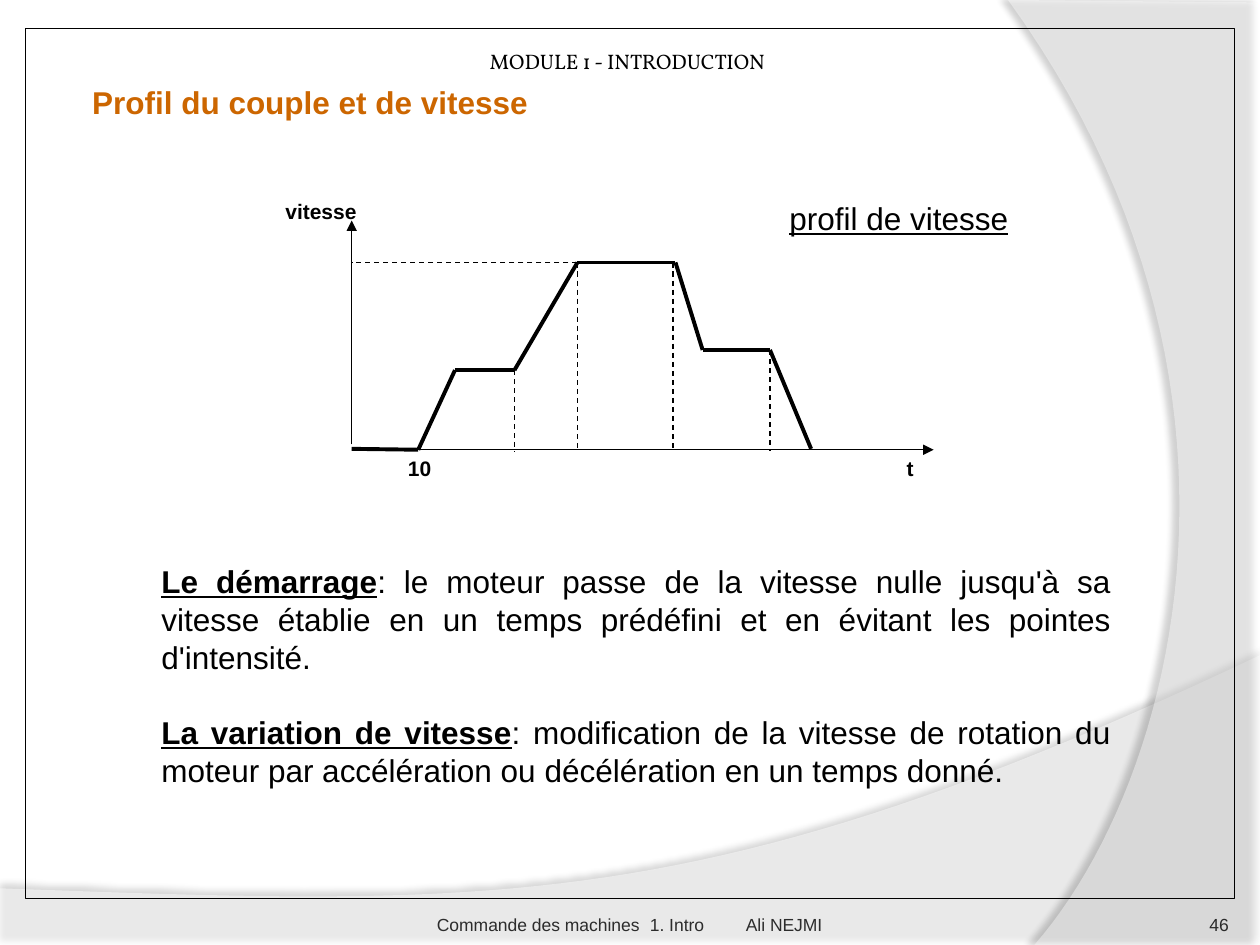
from dataclasses import dataclass, field
from typing import Any

import lxml.etree
import pptx
import pptx.dml.color
import pptx.enum.dml
import pptx.enum.shapes
import pptx.enum.text
import pptx.oxml.ns
import pptx.util

Pt = pptx.util.Pt
RGBColor = pptx.dml.color.RGBColor
Align = pptx.enum.text.PP_ALIGN
Anchor = pptx.enum.text.MSO_ANCHOR
Point = tuple[float, float]

BLACK = RGBColor(0, 0, 0)
WHITE = RGBColor(255, 255, 255)
ORANGE = RGBColor(0xCC, 0x66, 0x00)
FOOTER_GREY = RGBColor(0x2C, 0x2C, 0x2C)
NUMBER_GREY = RGBColor(0x29, 0x29, 0x29)

LABEL = {"size": Pt(12), "name": "Arial", "bold": True}
FOOTER = {"size": Pt(10), "name": "Arial"}
BODY = {"size": Pt(18), "name": "Arial"}
INSET = (7.2, 3.6, 7.2, 3.6)


@dataclass
class Label:
    text: str
    box: tuple[float, float, float, float]
    font: dict[str, Any]
    color: RGBColor = BLACK
    align: Any = Align.LEFT
    anchor: Any = Anchor.TOP
    inset: tuple[float, float, float, float] = INSET
    wrap: bool = True
    tabs: list[float] = field(default_factory=list)


@dataclass
class Stroke:
    start: Point
    end: Point
    width: float = 0.75
    dashed: bool = False
    arrow: bool = False


@dataclass
class Wave:
    corners: list[Point]
    curve: tuple[Point, Point, Point]
    opacity: int
    shadow_opacity: int
    distance: float
    direction: int


TITLE = Label("Profil du couple et de vitesse", (45.5, 44, 414, 29),
              BODY | {"bold": True}, ORANGE)
HEADER = Label("MODULE 1 - INTRODUCTION", (36, 24, 645, 30),
               {"size": Pt(12), "name": "Vollkorn"}, align=Align.CENTER)
CAPTION = Label("profil de vitesse", (444, 110, 140.5, 29),
                BODY | {"underline": True}, wrap=False)
FOOTERS = [
    Label("Commande des machines\t1. Intro\tAli NEJMI", (249.7, 505.5, 235, 28.8), FOOTER,
          FOOTER_GREY, anchor=Anchor.BOTTOM, inset=(0, 3.6, 0, 0), tabs=[121.7, 176.5]),
    Label("46", (642.2, 505.5, 60, 28.8), FOOTER, NUMBER_GREY, Align.RIGHT,
          Anchor.BOTTOM, (0, 0, 0, 0)),
]
AXIS_LABELS = [
    Label("10", (226, 256.5, 34, 22), LABEL),
    Label("t", (511, 257, 82, 22), LABEL),
    Label("vitesse", (156, 110, 57, 29), LABEL),
]
DEFINITIONS = [
    ("Le démarrage", ": le moteur passe de la vitesse nulle jusqu'à sa vitesse établie "
     "en un temps prédéfini et en évitant les pointes d'intensité."),
    ("La variation de vitesse", ": modification de la vitesse de rotation du moteur "
     "par accélération ou décélération en un temps donné."),
]
PROFILE = [(201, 256.5), (239, 257), (260, 211.5), (294, 211.5), (330, 150),
           (386, 150), (401.5, 200), (440, 200), (463.5, 256.5)]
STROKES = [
    Stroke((201, 254), (201, 126), arrow=True),
    Stroke((201, 257), (533.5, 257), arrow=True),
    Stroke((330, 150), (201, 150), dashed=True),
    *[Stroke((x, top), (x, 258), dashed=True)
      for x, top in [(294, 211.5), (330, 150), (384.5, 150), (440, 200)]],
    *[Stroke(start, end, 2.25) for start, end in zip(PROFILE, PROFILE[1:])],
]
WAVES = [
    Wave([(0, 507.6), (0, 540.7), (720, 540.7), (720, 374.4)],
         ((402.5, 524.9), (281.5, 517.7), (0, 507.6)), 45, 35, 3.5, 270),
    Wave([(720, 1.4), (720, 540), (591.1, 540)],
         ((673.2, 445.7), (733, 216), (576, 0)), 40, 45, 4, 180),
]


def add_xml(parent: Any, tag: str, **attributes: Any) -> Any:
    values = {key: str(value) for key, value in attributes.items()}
    return lxml.etree.SubElement(parent, pptx.oxml.ns.qn(tag), values)


def format_font(font: Any, values: dict[str, Any], color: RGBColor = BLACK) -> None:
    for name, value in values.items():
        setattr(font, name, value)
    font.color.rgb = color


def place(shape: Any, box: tuple[float, float, float, float]) -> None:
    for name, value in zip(("left", "top", "width", "height"), box):
        setattr(shape, name, Pt(value))


def fill_label(shape: Any, label: Label) -> None:
    place(shape, label.box)
    frame = shape.text_frame
    frame.auto_size = pptx.enum.text.MSO_AUTO_SIZE.NONE
    frame.word_wrap = label.wrap
    frame.vertical_anchor = label.anchor
    for side, value in zip(("left", "top", "right", "bottom"), label.inset):
        setattr(frame, f"margin_{side}", Pt(value))
    paragraph = frame.paragraphs[0]
    paragraph.alignment = label.align
    if label.tabs:
        tab_list = add_xml(paragraph._p.get_or_add_pPr(), "a:tabLst")
        for position in label.tabs:
            add_xml(tab_list, "a:tab", pos=Pt(position), algn="l")
    run = paragraph.add_run()
    run.text = label.text
    format_font(run.font, label.font, label.color)


def add_label(shapes: Any, label: Label) -> None:
    fill_label(shapes.add_textbox(0, 0, 0, 0), label)


def add_stroke(shapes: Any, stroke: Stroke) -> None:
    connector = shapes.add_connector(pptx.enum.shapes.MSO_CONNECTOR.STRAIGHT,
                                     *map(Pt, stroke.start + stroke.end))
    connector.line.color.rgb = BLACK
    connector.line.width = Pt(stroke.width)
    if stroke.dashed:
        connector.line.dash_style = pptx.enum.dml.MSO_LINE.DASH
    if stroke.arrow:
        add_xml(connector.line._get_or_add_ln(), "a:tailEnd", type="triangle")
    add_xml(connector.element.spPr, "a:effectLst")


def curve_points(points: list[Point], steps: int = 48) -> list[Point]:
    weights = [((1 - t) ** 3, 3 * t * (1 - t) ** 2, 3 * t * t * (1 - t), t ** 3)
               for t in (step / steps for step in range(1, steps + 1))]
    return [tuple(sum(w * point[axis] for w, point in zip(weight, points)) for axis in (0, 1))
            for weight in weights]


def add_wave(shapes: Any, wave: Wave) -> Any:
    outline = wave.corners + curve_points([wave.corners[-1], *wave.curve])
    vertices = [(Pt(x), Pt(y)) for x, y in outline]
    builder = shapes.build_freeform(*vertices[0])
    builder.add_line_segments(vertices[1:], close=True)
    shape = builder.convert_to_shape()
    shape.fill.solid()
    shape.fill.fore_color.rgb = WHITE
    shape.line.fill.background()
    properties = shape.element.spPr
    add_xml(properties.find(".//" + pptx.oxml.ns.qn("a:srgbClr")), "a:alpha",
            val=wave.opacity * 1000)
    shadow = add_xml(add_xml(properties, "a:effectLst"), "a:outerShdw", blurRad=Pt(4),
                     dist=Pt(wave.distance), dir=wave.direction * 60000,
                     algn="ctr", rotWithShape=0)
    add_xml(add_xml(shadow, "a:srgbClr", val=BLACK), "a:alpha", val=wave.shadow_opacity * 1000)
    return shape


def fill_definitions(body: Any) -> None:
    place(body, (85, 317.5, 557, 138))
    frame = body.text_frame
    frame.auto_size = pptx.enum.text.MSO_AUTO_SIZE.NONE
    for index, (term, meaning) in enumerate(DEFINITIONS):
        paragraph = frame.add_paragraph() if index else frame.paragraphs[0]
        paragraph.alignment = Align.JUSTIFY
        paragraph.space_before = Pt(21.6 * index)
        properties = paragraph._p.get_or_add_pPr()
        properties.set("marL", "0")
        properties.set("indent", "0")
        add_xml(properties, "a:buNone")
        for text, emphasis in ((term, True), (meaning, False)):
            run = paragraph.add_run()
            run.text = text
            format_font(run.font, BODY | {"bold": emphasis, "underline": emphasis})


def main() -> None:
    presentation = pptx.Presentation()
    presentation.slide_width, presentation.slide_height = Pt(720), Pt(540)
    slide = presentation.slides.add_slide(presentation.slide_layouts[1])
    shapes = slide.shapes
    title, body = shapes.title, slide.placeholders[1]
    for wave in WAVES:
        title.element.addprevious(add_wave(shapes, wave).element)
    fill_label(title, TITLE)
    fill_definitions(body)
    diagram = shapes.add_group_shape().shapes
    for stroke in STROKES:
        add_stroke(diagram, stroke)
    for label in AXIS_LABELS:
        add_label(diagram, label)
    frame = shapes.add_shape(pptx.enum.shapes.MSO_SHAPE.RECTANGLE,
                             *map(Pt, (14.4, 16.5, 691.2, 496.8)))
    frame.shadow.inherit = False
    frame.fill.background()
    frame.line.color.rgb = BLACK
    frame.line.width = Pt(0.75)
    for label in [HEADER, CAPTION, *FOOTERS]:
        add_label(shapes, label)
    presentation.save("out.pptx")


if __name__ == "__main__":
    main()
